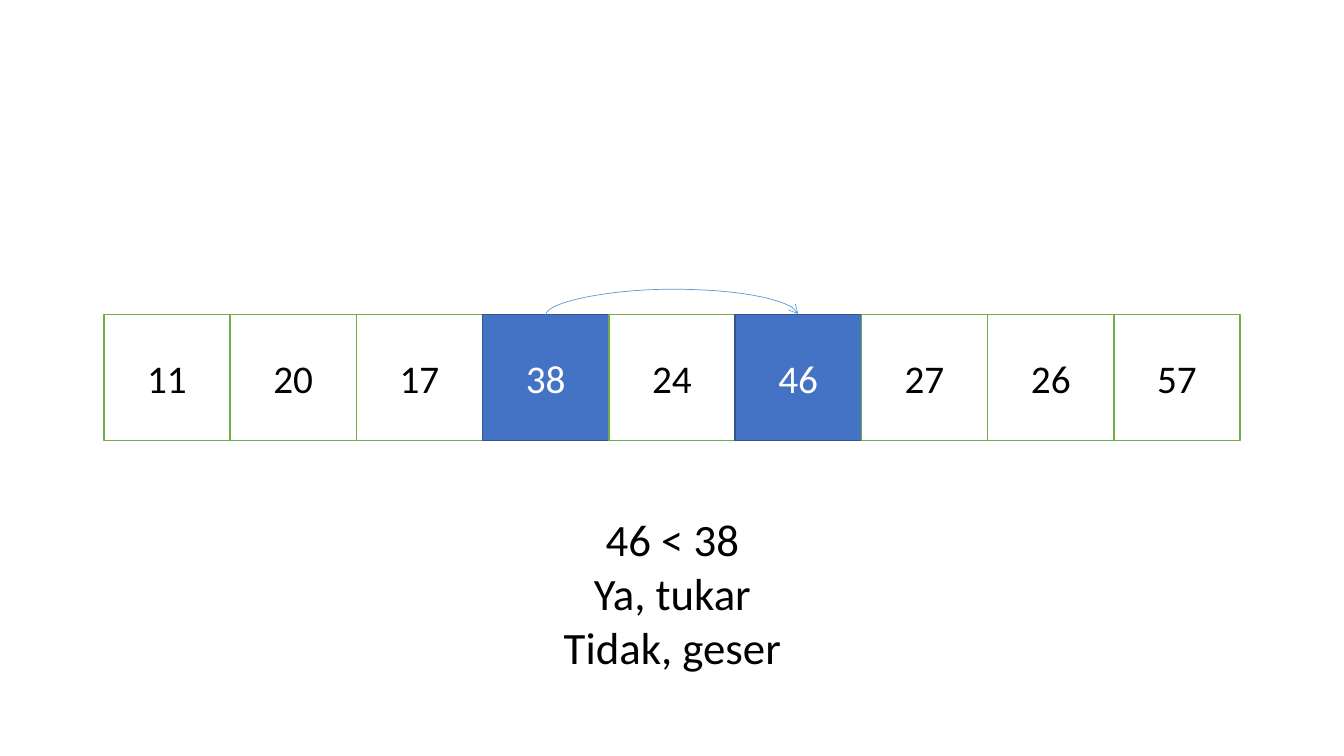
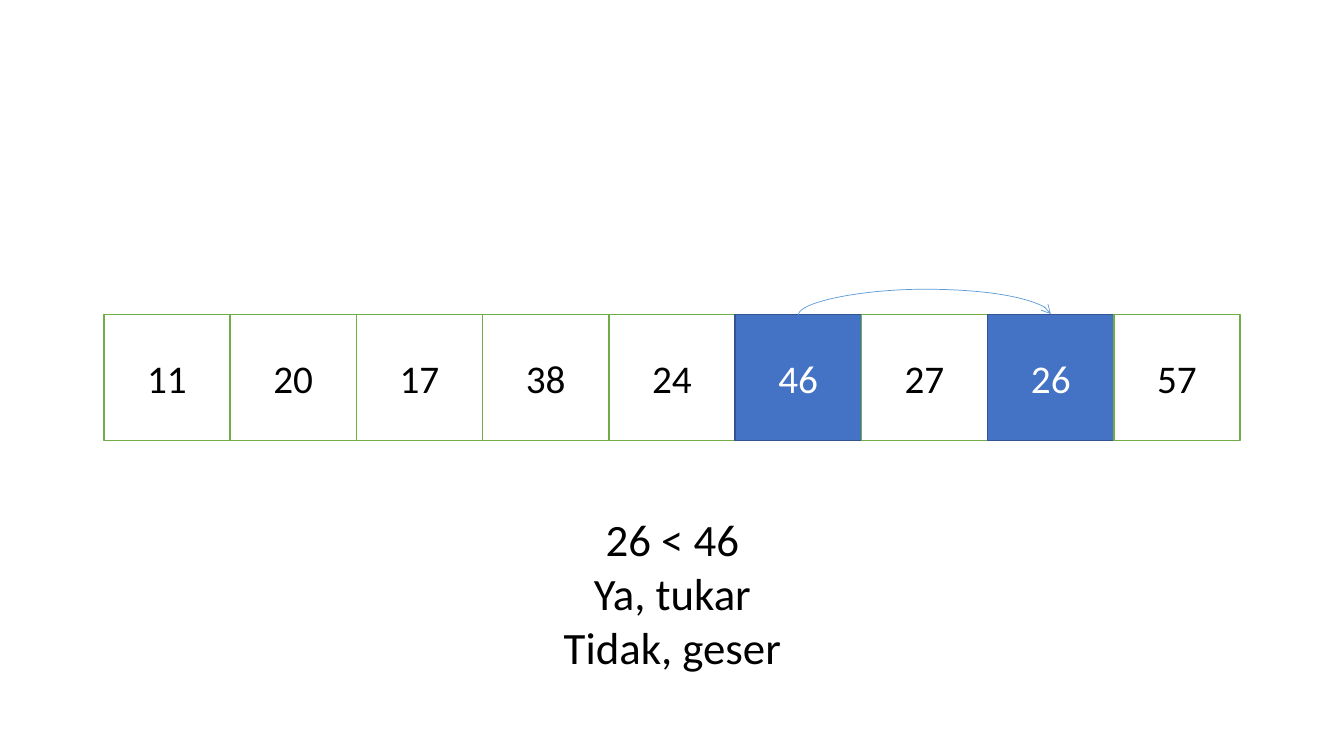
"""Build two slides that compare array elements a fixed gap apart."""
from typing import NamedTuple

from lxml import etree
from pptx import Presentation
from pptx.dml.color import RGBColor
from pptx.enum import shapes, text
from pptx.oxml import ns
from pptx.util import Inches, Pt

FONT = "Calibri"
BLACK = RGBColor(0x00, 0x00, 0x00)
WHITE = RGBColor(0xFF, 0xFF, 0xFF)
GREEN = RGBColor(0x70, 0xAD, 0x47)
BLUE = RGBColor(0x44, 0x72, 0xC4)
DARK_BLUE = RGBColor(0x32, 0x54, 0x91)
LIGHT_BLUE = RGBColor(0x5B, 0x9B, 0xD5)

VALUES = (11, 20, 17, 38, 24, 46, 27, 26, 57)
ROW_LEFT, ROW_TOP, ROW_WIDTH = Inches(1.03), Inches(3.12), Inches(11.27)
CELL_SIZE = ROW_WIDTH // len(VALUES)
ARC_RISE, ARC_DEPTH = Inches(0.26), Inches(0.01)


class CellStyle(NamedTuple):
    fill: RGBColor
    line: RGBColor
    font: RGBColor


class Comparison(NamedTuple):
    first: int
    second: int


PLAIN = CellStyle(WHITE, GREEN, BLACK)
ACTIVE = CellStyle(BLUE, DARK_BLUE, WHITE)
COMPARISONS = (Comparison(3, 5), Comparison(5, 7))


def write_text(frame, *lines: str, size: int, color: RGBColor) -> None:
    """Write centred lines of text, one paragraph each."""
    frame.word_wrap = True
    for index, line in enumerate(lines):
        paragraph = frame.add_paragraph() if index else frame.paragraphs[0]
        paragraph.alignment = text.PP_ALIGN.CENTER
        run = paragraph.add_run()
        run.text = line
        run.font.name, run.font.size = FONT, Pt(size)
        run.font.color.rgb = color


def add_cell(slide, index: int, style: CellStyle):
    """Draw one array element and return its shape."""
    shape = slide.shapes.add_shape(
        shapes.MSO_SHAPE.RECTANGLE, ROW_LEFT + index * CELL_SIZE, ROW_TOP, CELL_SIZE, CELL_SIZE)
    shape.shadow.inherit = False
    shape.fill.solid()
    shape.fill.fore_color.rgb = style.fill
    shape.line.color.rgb = style.line
    shape.line.width = Pt(1)
    shape.text_frame.vertical_anchor = text.MSO_ANCHOR.MIDDLE
    write_text(shape.text_frame, str(VALUES[index]), size=28, color=style.font)
    return shape


def add_arc(slide, start, end) -> None:
    """Join the tops of two cells with a curved arrow."""
    start_x, end_x = (cell.left + cell.width // 2 for cell in (start, end))
    span = end_x - start_x
    arc = slide.shapes.add_connector(
        shapes.MSO_CONNECTOR.CURVE, start_x, ROW_TOP, end_x, ROW_TOP)
    arc.begin_connect(start, 0)
    arc.end_connect(end, 0)
    arc.left, arc.top = (start_x + end_x - ARC_DEPTH) // 2, ROW_TOP - span // 2
    arc.width, arc.height = ARC_DEPTH, span
    arc.rotation = 270
    arc.line.color.rgb = LIGHT_BLUE
    arc.line.width = Pt(0.5)
    properties = arc._element.spPr
    adjustments = properties.find(".//" + ns.qn("a:avLst"))
    etree.SubElement(adjustments, ns.qn("a:gd"), name="adj1",
                     fmla=f"val {round(ARC_RISE / ARC_DEPTH * 100000)}")
    etree.SubElement(properties.find(ns.qn("a:ln")), ns.qn("a:tailEnd"), type="arrow")
    etree.SubElement(properties, ns.qn("a:effectLst"))


def add_comparison_slide(presentation, comparison: Comparison) -> None:
    """Add a slide with the array, the compared pair and the decision."""
    slide = presentation.slides.add_slide(presentation.slide_layouts[6])
    cells = [add_cell(slide, index, ACTIVE if index in comparison else PLAIN)
             for index in range(len(VALUES))]
    first, second = comparison
    decision = slide.shapes.add_textbox(Inches(4.39), Inches(5.03), Inches(4.56), Inches(1.72))
    decision.text_frame.auto_size = text.MSO_AUTO_SIZE.SHAPE_TO_FIT_TEXT
    write_text(decision.text_frame, f"{VALUES[second]} < {VALUES[first]}",
               "Ya, tukar", "Tidak, geser", size=32, color=BLACK)
    add_arc(slide, cells[first], cells[second])


def main() -> None:
    """Build and save the presentation."""
    presentation = Presentation()
    presentation.slide_width, presentation.slide_height = Inches(13.33), Inches(7.5)
    for comparison in COMPARISONS:
        add_comparison_slide(presentation, comparison)
    presentation.save("out.pptx")


if __name__ == "__main__":
    main()
